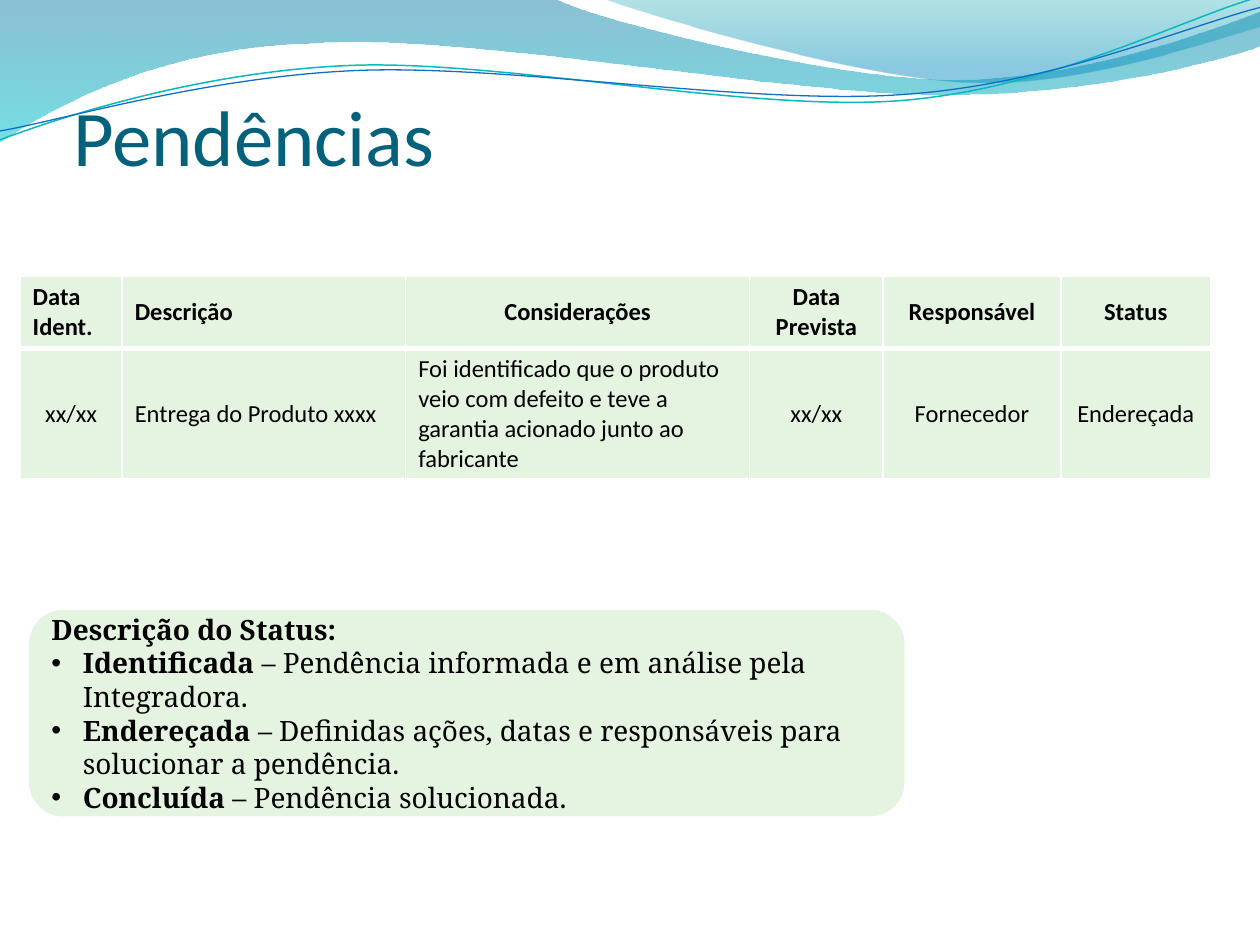
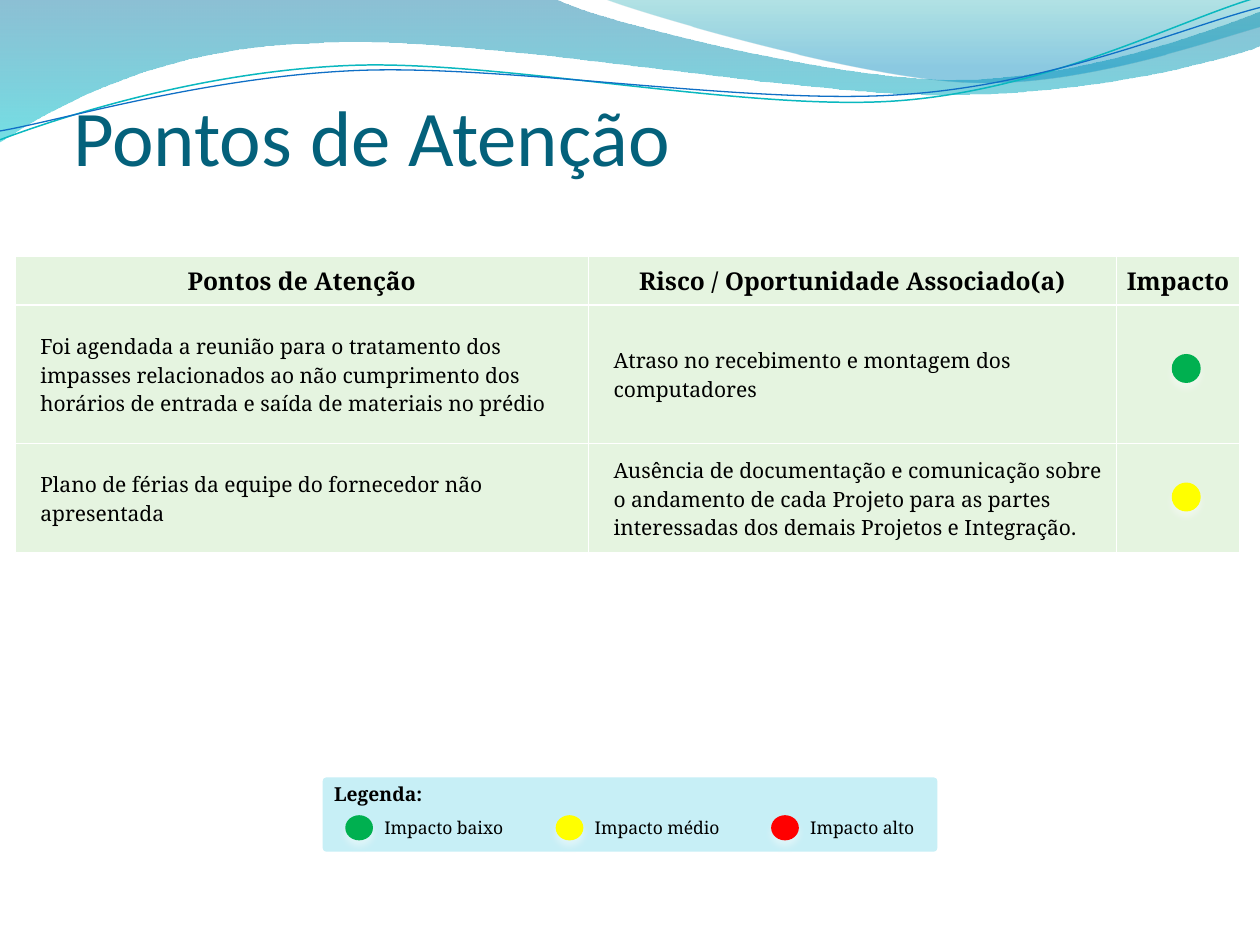
import math
import pptx
import pptx.util
import pptx.dml.color
import pptx.enum.shapes
import pptx.enum.text
import pptx.oxml
import pptx.oxml.ns
import lxml.etree

Inches = pptx.util.Inches
Pt = pptx.util.Pt
RGBColor = pptx.dml.color.RGBColor
SHAPE = pptx.enum.shapes.MSO_SHAPE
ALIGN = pptx.enum.text.PP_ALIGN
ANCHOR = pptx.enum.text.MSO_ANCHOR
qn = pptx.oxml.ns.qn

BLACK = RGBColor(0x00, 0x00, 0x00)
WHITE = RGBColor(0xFF, 0xFF, 0xFF)
TITLE_BLUE = RGBColor(0x04, 0x61, 0x7B)
PALE_GREEN = RGBColor(0xE5, 0xF4, 0xE0)
PALE_CYAN = RGBColor(0xC7, 0xEF, 0xF6)
LOW = RGBColor(0x00, 0xB0, 0x50)
MEDIUM = RGBColor(0xFF, 0xFF, 0x00)
HIGH = RGBColor(0xFF, 0x00, 0x00)

SANS, SERIF = "Calibri", "Noto Serif"
WAVE_TILT = -2.7
WAVE_CENTER = (4.99, 0.58)

# Each band: start point, segments (2 numbers: line, 6 numbers: curve),
# gradient stops as (position, colour, opacity).
BANDS = [
    ((0, 0),
     [(4.4, -0.01), (4.76, 0.17, 6.64, 0.63, 7.58, 0.63),
      (8.53, 0.63, 9.58, 0.26, 10, 0.09), (10.01, 0.36),
      (9.83, 0.44, 8.7, 0.76, 7.46, 0.75), (6.22, 0.75, 3.82, 0.28, 2.57, 0.34),
      (1.29, 0.36, 0.46, 0.83, -0.01, 1.13), (0, 0)],
     [(0, RGBColor(0x00, 0x74, 0xA1), 45), (1, RGBColor(0x00, 0xC6, 0xCF), 55)]),
    ((4.79, -0.01),
     [(5.09, 0.11, 6.82, 0.62, 7.69, 0.65), (8.56, 0.69, 9.61, 0.32, 10, 0.21),
      (10, 0), (4.79, -0.01)],
     [(0, RGBColor(0x00, 0xA1, 0xA9), 30), (0.8, RGBColor(0x00, 0x8B, 0xBF), 45)]),
]
# Each wave line: start point, curves, colour, width in points.
WAVE_LINES = [
    ((0, 1.11),
     [(0.48, 0.93, 1.58, 0.57, 2.77, 0.52), (3.95, 0.47, 5.93, 0.89, 7.13, 0.8),
      (8.33, 0.71, 9.38, 0.15, 9.98, -0.02)], RGBColor(0x0A, 0xB8, 0xBF), 0.85),
    ((0, 1.04),
     [(0.47, 0.96, 1.64, 0.61, 2.83, 0.56), (4.03, 0.51, 5.97, 0.84, 7.17, 0.75),
      (8.36, 0.67, 9.41, 0.21, 10, 0.06)], RGBColor(0x0F, 0x6F, 0xC6), 0.75),
]


def set_values(target, values):
    """Set the attributes named in a dict."""
    for name, value in values.items():
        setattr(target, name, value)


def add_child(parent, tag, **attributes):
    """Append a DrawingML element to a parent element."""
    return lxml.etree.SubElement(parent, qn(tag), attributes)


def write_runs(paragraph, runs, font_name, size, color=BLACK):
    """Add (text, bold) runs in one font to a paragraph."""
    for text, bold in runs:
        run = paragraph.add_run()
        run.text = text
        set_values(run.font, {"name": font_name, "size": Pt(size), "bold": bold})
        run.font.color.rgb = color


def set_indent(paragraph, left, first=0):
    """Set left margin and first-line indent of a paragraph."""
    properties = paragraph._p.get_or_add_pPr()
    properties.set("marL", str(Inches(left)))
    properties.set("indent", str(Inches(first)))
    return properties


def add_soft_shadow(shape):
    """Give a shape a soft light shadow falling straight down."""
    shape.shadow.inherit = False
    effects = shape.element.spPr.find(qn("a:effectLst"))
    shadow = add_child(effects, "a:outerShdw", blurRad=str(Pt(4.5)), dist=str(Pt(3)),
                       dir="5400000", rotWithShape="0")
    color = add_child(shadow, "a:srgbClr", val=str(WHITE))
    add_child(color, "a:alpha", val="48000")


def add_filled_shape(shapes, kind, box, color):
    """Add a borderless preset shape with a soft shadow."""
    shape = shapes.add_shape(kind, *map(Inches, box))
    shape.fill.solid()
    shape.fill.fore_color.rgb = color
    shape.line.fill.background()
    add_soft_shadow(shape)
    return shape


def rotate(point, degrees):
    """Turn a point in inches about the centre of the waves."""
    angle = math.radians(degrees)
    x, y = (value - middle for value, middle in zip(point, WAVE_CENTER))
    return (WAVE_CENTER[0] + x * math.cos(angle) - y * math.sin(angle),
            WAVE_CENTER[1] + x * math.sin(angle) + y * math.cos(angle))


def add_outline(slide, start, segments, close, tilt=0):
    """Add a freeform of lines and cubic curves, held in a frame tilted by degrees."""
    routes = [[tuple(map(Inches, rotate(pair, -tilt)))
               for pair in zip(segment[::2], segment[1::2])]
              for segment in [start] + segments]
    builder = slide.shapes.build_freeform(*routes[0][0])
    builder.add_line_segments([route[-1] for route in routes[1:]], close=close)
    shape = builder.convert_to_shape()
    shape.shadow.inherit = False
    for line, route in zip(list(shape.element.iter(qn("a:lnTo"))), routes[1:]):
        if len(route) == 3:
            curve = lxml.etree.Element(qn("a:cubicBezTo"))
            for x, y in route:
                add_child(curve, "a:pt", x=str(x - shape.left), y=str(y - shape.top))
            line.getparent().replace(line, curve)
    middle = ((shape.left + shape.width / 2) / Inches(1),
              (shape.top + shape.height / 2) / Inches(1))
    x, y = map(Inches, rotate(middle, tilt))
    set_values(shape, {"left": x - shape.width // 2, "top": y - shape.height // 2,
                       "rotation": tilt})
    return shape


def build_wave_header(slide, layout):
    """Draw the wave header and move it behind everything on the layout."""
    outlines = []
    for start, segments, stops in BANDS:
        band = add_outline(slide, start, segments, True)
        band.line.fill.background()
        band.fill.gradient()
        band.fill.gradient_angle = 270
        for stop, (position, color, opacity) in zip(band.fill.gradient_stops, stops):
            stop.position = position
            stop.color.rgb = color
        for color, stop in zip(band.element.spPr.iter(qn("a:srgbClr")), stops):
            add_child(color, "a:alpha", val=str(stop[2] * 1000))
        outlines.append(band)
    for start, segments, color, width in WAVE_LINES:
        wave = add_outline(slide, start, segments, False, WAVE_TILT)
        wave.fill.background()
        wave.line.color.rgb = color
        wave.line.width = Pt(width)
        outlines.append(wave)
    for order, outline in enumerate(outlines):
        outline.element.nvSpPr.cNvPr.set("id", str(100 + order))
        layout.shapes.element.insert(2 + order, outline.element)


def add_titled_slide(presentation, layout, title):
    """Add a slide with a left-aligned title."""
    slide = presentation.slides.add_slide(layout)
    shape = slide.shapes.title
    box = (0.58, 0.75, 8.83, 1)
    set_values(shape, dict(zip(("left", "top", "width", "height"), map(Inches, box))))
    set_values(shape.text_frame, {
        "margin_left": 0, "margin_top": 0, "margin_right": 0, "margin_bottom": Inches(0.3),
        "word_wrap": True, "vertical_anchor": ANCHOR.BOTTOM,
        "auto_size": pptx.enum.text.MSO_AUTO_SIZE.NONE})
    paragraph = shape.text_frame.paragraphs[0]
    paragraph.alignment = ALIGN.LEFT
    write_runs(paragraph, [(title, False)], SANS, 45, TITLE_BLUE)
    return slide


def set_borders(cell, widths):
    """Draw white borders: widths in points for left, right, top, bottom."""
    properties = cell._tc.get_or_add_tcPr()
    for order, (side, width) in enumerate(zip("LRTB", widths)):
        line = pptx.oxml.parse_xml(
            f'<a:ln{side} {pptx.oxml.ns.nsdecls("a")} w="{Pt(width)}"><a:solidFill>'
            f'<a:srgbClr val="{WHITE}"/></a:solidFill></a:ln{side}>')
        properties.insert(order, line)


def add_grid(slide, left, top, columns, heights, rows, font_name, sizes,
             centered, rule=1, margins=None, indent=0):
    """Add a pale green table; centered holds the (row, column) cells to centre."""
    table = slide.shapes.add_table(len(heights), len(columns), Inches(left), Inches(top),
                                   Inches(sum(columns)), Inches(sum(heights))).table
    for column, width in zip(table.columns, columns):
        column.width = Inches(width)
    for row, height in zip(table.rows, heights):
        row.height = Inches(height)
    for r, texts in enumerate(rows):
        for c, text in enumerate(texts):
            cell = table.cell(r, c)
            cell.fill.solid()
            cell.fill.fore_color.rgb = PALE_GREEN
            cell.vertical_anchor = ANCHOR.MIDDLE
            set_values(cell, margins or {})
            set_borders(cell, (1, 1, rule if r else 1, rule))
            paragraph = cell.text_frame.paragraphs[0]
            if (r, c) in centered:
                paragraph.alignment = ALIGN.CENTER
            elif indent:
                set_indent(paragraph, indent)
            if text:
                write_runs(paragraph, [(text, r == 0)], font_name, sizes[min(r, 1)])


def add_status_panel(slide, box, heading, entries):
    """Add the rounded panel that explains each status in a bulleted list."""
    panel = add_filled_shape(slide.shapes, SHAPE.ROUNDED_RECTANGLE, box, PALE_GREEN)
    frame = panel.text_frame
    set_values(frame, {"word_wrap": True, "vertical_anchor": ANCHOR.MIDDLE})
    write_runs(frame.paragraphs[0], [(heading, True)], SERIF, 16)
    for term, meaning in entries:
        paragraph = frame.add_paragraph()
        properties = set_indent(paragraph, 0.25, -0.25)
        add_child(properties, "a:buFont", typeface="Arial")
        add_child(properties, "a:buChar", char="•")
        write_runs(paragraph, [(term, True), (f" – {meaning}", False)], SERIF, 16)
    for paragraph in frame.paragraphs:
        paragraph.alignment = ALIGN.LEFT


def add_legend(slide, box, items):
    """Add the impact legend; items are (offset, label width, colour, label)."""
    left, top = box[:2]
    group = slide.shapes.add_group_shape()
    panel = add_filled_shape(group.shapes, SHAPE.ROUNDED_RECTANGLE, box, PALE_CYAN)
    panel.adjustments[0] = 0.07
    panel.line.color.rgb = WHITE
    panel.line.width = Pt(3)
    panel.text_frame.vertical_anchor = ANCHOR.TOP
    heading = panel.text_frame.paragraphs[0]
    heading.alignment = ALIGN.LEFT
    write_runs(heading, [("Legenda:", True)], SERIF, 11)
    for offset, width, color, label in items:
        x = left + offset
        add_filled_shape(group.shapes, SHAPE.OVAL, (x, top + 0.32, 0.22, 0.2), color)
        text_box = group.shapes.add_textbox(*map(Inches, (x + 0.31, top + 0.29, width, 0.26)))
        set_values(text_box.text_frame, {
            "margin_left": 0, "margin_top": 0, "margin_right": 0, "margin_bottom": 0,
            "word_wrap": True, "vertical_anchor": ANCHOR.MIDDLE})
        write_runs(text_box.text_frame.paragraphs[0], [(label, False)], SERIF, 10)


def build_pending_slide(slide):
    """Fill the slide of pending issues."""
    add_grid(slide, 0.16, 2.19, (0.81, 2.25, 2.73, 1.06, 1.41, 1.19), (0.57, 0.91), [
        ("Data Ident.", "Descrição", "Considerações", "Data Prevista", "Responsável", "Status"),
        ("xx/xx", "Entrega do Produto xxxx",
         "Foi identificado que o produto veio com defeito e teve a garantia acionado "
         "junto ao fabricante", "xx/xx", "Fornecedor", "Endereçada"),
    ], SANS, (14, 14), {(0, 2), (1, 0)} | {(r, c) for r in (0, 1) for c in (3, 4, 5)}, rule=3)
    add_status_panel(slide, (0.23, 4.84, 6.95, 1.64), "Descrição do Status:", [
        ("Identificada", "Pendência informada e em análise pela Integradora."),
        ("Endereçada", "Definidas ações, datas e responsáveis para solucionar a pendência."),
        ("Concluída", "Pendência solucionada."),
    ])


def build_attention_slide(slide):
    """Fill the slide of points that need attention."""
    add_legend(slide, (2.54, 6.15, 4.92, 0.63), [
        (0.2, 1.38, LOW, "Impacto baixo"),
        (1.87, 1.38, MEDIUM, "Impacto médio"),
        (3.58, 0.88, HIGH, "Impacto alto"),
    ])
    margin = Inches(0.01)
    add_grid(slide, 0.12, 2.03, (4.55, 4.19, 0.98), (0.39, 1.1, 0.87), [
        ("Pontos de Atenção", "Risco / Oportunidade Associado(a)", "Impacto"),
        ("Foi agendada a reunião para o tratamento dos impasses relacionados ao não "
         "cumprimento dos horários de entrada e saída de materiais no prédio",
         "Atraso no recebimento e montagem dos computadores", ""),
        ("Plano de férias da equipe do fornecedor não apresentada",
         "Ausência de documentação e comunicação sobre o andamento de cada Projeto para "
         "as partes interessadas dos demais Projetos e Integração.", ""),
    ], SERIF, (14, 12), {(0, 0), (0, 1), (0, 2)}, indent=0.19, margins={
        "margin_left": margin, "margin_top": margin, "margin_right": margin,
        "margin_bottom": 0})
    for top, color in ((3.83, MEDIUM), (2.81, LOW)):
        add_filled_shape(slide.shapes, SHAPE.OVAL, (9.3, top, 0.23, 0.23), color)


def main():
    """Build the presentation."""
    presentation = pptx.Presentation()
    presentation.slide_width, presentation.slide_height = Inches(10), Inches(7.5)
    layout = presentation.slide_layouts[5]
    pending = add_titled_slide(presentation, layout, "Pendências")
    build_wave_header(pending, layout)
    build_pending_slide(pending)
    build_attention_slide(add_titled_slide(presentation, layout, "Pontos de Atenção"))
    presentation.save("out.pptx")


main()
